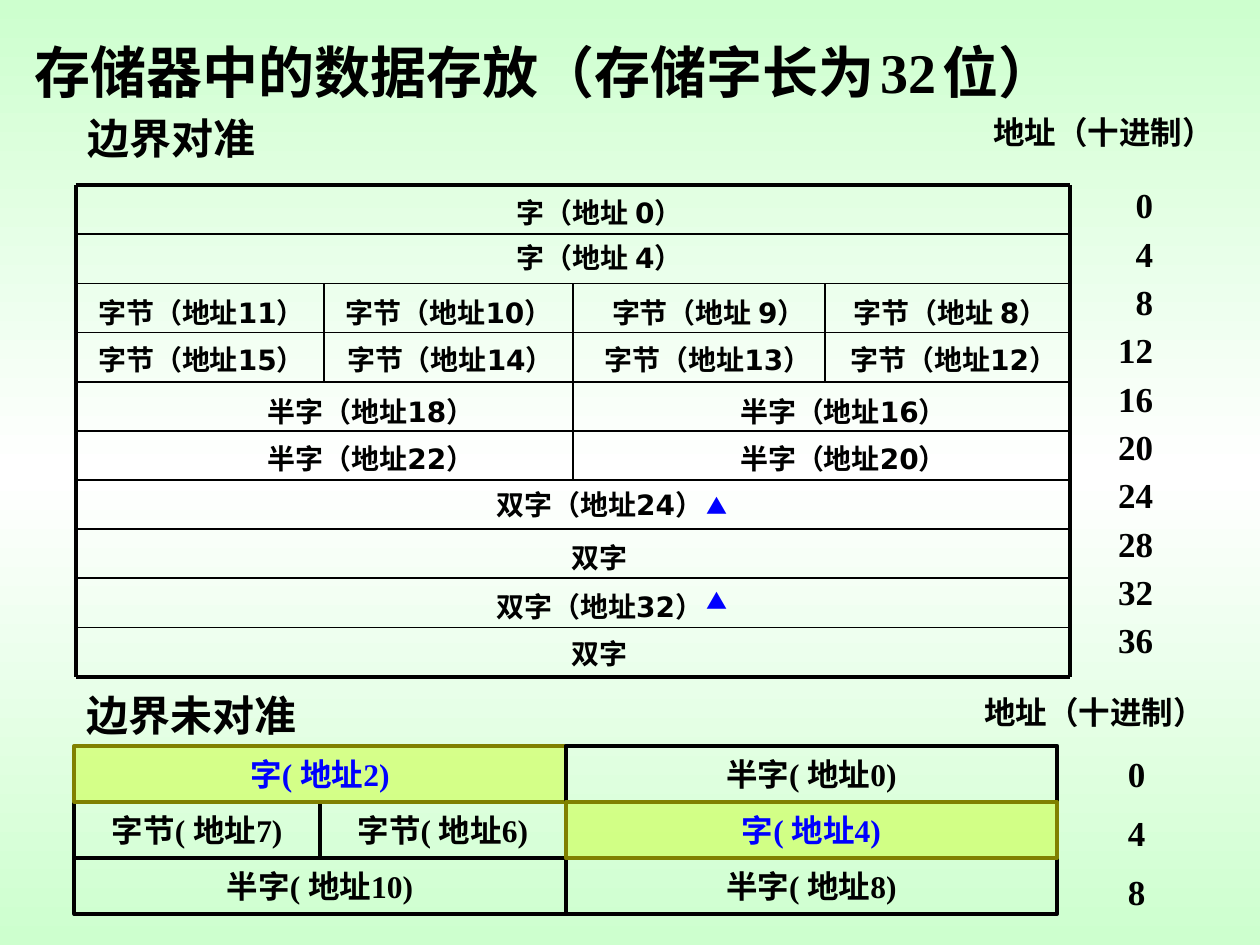
import copy

import lxml.etree
import pptx
import pptx.dml.color
import pptx.enum.shapes
import pptx.enum.text
import pptx.oxml.ns
import pptx.util

Inches = pptx.util.Inches
Pt = pptx.util.Pt
qn = pptx.oxml.ns.qn
ALIGN = pptx.enum.text.PP_ALIGN
ANCHOR = pptx.enum.text.MSO_ANCHOR
AUTO = pptx.enum.text.MSO_AUTO_SIZE


def rgb(value):
    return pptx.dml.color.RGBColor.from_string(value)


class Deck:
    serif = "Times New Roman"
    sans = "DejaVu Sans"
    cjk = "Noto Sans CJK SC"
    black = "000000"
    blue = "0000FF"
    thick = 2.25

    def __init__(self):
        self.prs = pptx.Presentation()
        self.prs.slide_width = Inches(10)
        self.prs.slide_height = Inches(7.5)
        self.s = self.prs.slides.add_slide(self.prs.slide_layouts[5])

    def background(self, edge, middle):
        fill = self.s.background.fill
        fill.gradient()
        fill.gradient_angle = 270
        stops = self.s.element.find(".//" + qn("a:gsLst"))
        stops.insert(1, copy.deepcopy(stops[0]))
        for stop, position, color in zip(fill.gradient_stops, (0, 0.5, 1), (edge, middle, edge)):
            stop.position = position
            stop.color.rgb = rgb(color)

    def style(self, p, size, font=None, color=black, align=ALIGN.LEFT, before=0, spacing=1):
        p.alignment = align
        p.space_before = Pt(before)
        p.line_spacing = spacing
        p.font.size = Pt(size)
        p.font.bold = True
        p.font.name = font or self.serif
        p.font.color.rgb = rgb(color)
        latin = p.font._element.find(qn("a:latin"))
        ea = lxml.etree.Element(qn("a:ea"), typeface=self.cjk)
        latin.addnext(ea)

    def title(self, x, y, w, h, runs):
        sp = self.s.shapes.title
        sp.left, sp.top, sp.width, sp.height = map(Inches, (x, y, w, h))
        tf = sp.text_frame
        tf.auto_size = AUTO.NONE
        tf.vertical_anchor = ANCHOR.TOP
        p = tf.paragraphs[0]
        self.style(p, 32)
        for text, size in runs:
            r = p.add_run()
            r.text = text
            r.font.size = Pt(size)

    def text(self, x, y, w, h, lines, size, wrap=True, **style):
        tf = self.s.shapes.add_textbox(*map(Inches, (x, y, w, h))).text_frame
        tf.word_wrap = wrap
        tf.auto_size = AUTO.SHAPE_TO_FIT_TEXT
        tf.text = "\n".join(lines)
        for p in tf.paragraphs:
            self.style(p, size, **style)

    def label(self, x, y, w, text):
        tf = self.s.shapes.add_textbox(*map(Inches, (x, y, w, 0.37))).text_frame
        tf.word_wrap = True
        tf.vertical_anchor = ANCHOR.MIDDLE
        tf.margin_left, tf.margin_right = Inches(0.06), Inches(0.02)
        tf.margin_top = tf.margin_bottom = 0
        tf.text = text
        self.style(tf.paragraphs[0], 16, font=self.sans, align=ALIGN.CENTER, before=4)

    def line(self, x1, y1, x2, y2, width=1):
        kind = pptx.enum.shapes.MSO_CONNECTOR.STRAIGHT
        sp = self.s.shapes.add_connector(kind, *map(Inches, (x1, y1, x2, y2)))
        sp.line.color.rgb = rgb(self.black)
        sp.line.width = Pt(width)
        lxml.etree.SubElement(sp.element.spPr, qn("a:effectLst"))

    def cell(self, x, y, w, h, text, marked):
        kind = pptx.enum.shapes.MSO_SHAPE.RECTANGLE
        sp = self.s.shapes.add_shape(kind, *map(Inches, (x, y, w, h)))
        sp.shadow.inherit = False
        sp.line.width = Pt(self.thick)
        sp.line.color.rgb = rgb("808000" if marked else self.black)
        if marked:
            sp.fill.solid()
            sp.fill.fore_color.rgb = rgb("CCFF33")
            color = sp.element.spPr.find(qn("a:solidFill"))[0]
            lxml.etree.SubElement(color, qn("a:alpha"), val="50000")
        else:
            sp.fill.background()
        tf = sp.text_frame
        tf.word_wrap = False
        tf.vertical_anchor = ANCHOR.MIDDLE
        tf.text = text
        self.style(tf.paragraphs[0], 18, align=ALIGN.CENTER,
                   color=self.blue if marked else self.black)


deck = Deck()
deck.background("CDFFCE", "FFFFFF")
deck.title(0.17, 0.25, 9.17, 0.64, [
    ("存储器中的数据存放（存储字长为", 32), (" ", 14), ("32", 32), (" ", 14), ("位）", 32)])

for x, y, heading in ((0.6, 0.84, "边界对准"), (0.59, 5.42, "边界未对准")):
    deck.text(x, y, 3.1, 0.5, [heading], 24, before=15)
for x, y in ((7.78, 0.85), (7.71, 5.45)):
    deck.text(x, y, 1.95, 0.4, ["地址（十进制）"], 18, wrap=False, align=ALIGN.RIGHT)
for x, y, w, h, count, spacing in ((8.77, 1.36, 0.48, 3.94, 10, 1.15),
                                   (8.85, 5.79, 0.34, 1.5, 3, 1.4)):
    addresses = [str(4 * i) for i in range(count)]
    deck.text(x, y, w, h, addresses, 20, wrap=False, align=ALIGN.RIGHT, spacing=spacing)

whole = [(0.99, 7.5)]
halves = [(0.99, 3.87), (4.86, 3.63)]
bytes_upper = [(0.6, 1.96), (2.59, 1.91), (4.52, 2.17), (6.59, 1.87)]
bytes_lower = [(0.58, 2.0), (2.6, 1.91), (4.63, 1.94), (6.61, 1.88)]
aligned_rows = [
    (1.5, whole, ["字（地址 0）"]),
    (1.86, whole, ["字（地址 4）"]),
    (2.29, bytes_upper, ["字节（地址11）", "字节（地址10）", "字节（地址 9）", "字节（地址 8）"]),
    (2.67, bytes_lower, [f"字节（地址{n}）" for n in (15, 14, 13, 12)]),
    (3.08, halves, ["半字（地址18）", "半字（地址16）"]),
    (3.45, halves, ["半字（地址22）", "半字（地址20）"]),
    (3.82, whole, ["双字（地址24）"]),
    (4.24, whole, ["双字"]),
    (4.63, whole, ["双字（地址32）"]),
    (5, whole, ["双字"]),
]
for y, columns, labels in aligned_rows:
    for (x, w), text in zip(columns, labels):
        deck.label(x, y, w, text)

left, right, top, pitch = 0.6, 8.49, 1.47, 0.39
bottom = top + 10 * pitch
for i in range(11):
    y = top + i * pitch
    deck.line(left, y, right, y, deck.thick if i in (0, 10) else 1)
for x in (left, right):
    deck.line(x, top, x, bottom, deck.thick)
for x, last_row in ((2.57, 4), (4.55, 6), (6.55, 4)):
    deck.line(x, top + 2 * pitch, x, top + last_row * pitch)

unit, height = 1.95, 0.445
unaligned_cells = [
    (1, 0, 1, "字节( 地址7)", False),
    (1, 1, 1, "字节( 地址6)", False),
    (0, 0, 2, "字( 地址2)", True),
    (2, 0, 2, "半字( 地址10)", False),
    (2, 2, 2, "半字( 地址8)", False),
    (0, 2, 2, "半字( 地址0)", False),
    (1, 2, 2, "字( 地址4)", True),
]
for row, column, span, text, marked in unaligned_cells:
    deck.cell(0.59 + column * unit, 5.92 + row * height, span * unit, height, text, marked)

for y in (3.87, 4.62):
    deck.text(5.51, y, 0.75, 0.3, ["▲"], 12, font=deck.cjk, color=deck.blue, before=7.5)

deck.prs.save("out.pptx")
